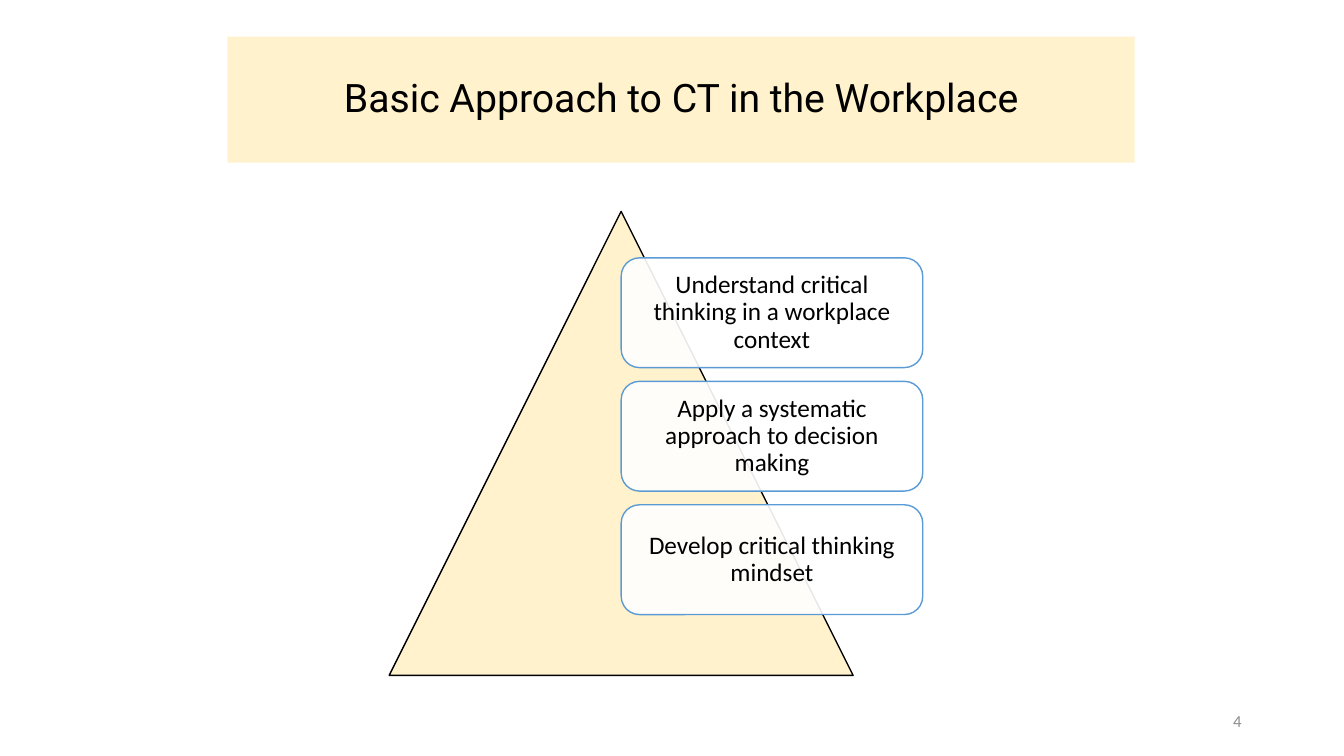
from lxml import etree
from pptx import Presentation
from pptx.dml.color import RGBColor
from pptx.enum.shapes import MSO_SHAPE
from pptx.enum.text import MSO_ANCHOR, PP_ALIGN
from pptx.oxml.ns import qn
from pptx.util import Pt

RECTANGLE = MSO_SHAPE.RECTANGLE
TRIANGLE = MSO_SHAPE.ISOSCELES_TRIANGLE
ROUNDED = MSO_SHAPE.ROUNDED_RECTANGLE
MIDDLE = MSO_ANCHOR.MIDDLE
CENTER, RIGHT = PP_ALIGN.CENTER, PP_ALIGN.RIGHT

BLACK = RGBColor(0x00, 0x00, 0x00)
WHITE = RGBColor(0xFF, 0xFF, 0xFF)
CREAM = RGBColor(0xFF, 0xF2, 0xCC)
BLUE = RGBColor(0x5B, 0x9B, 0xD5)
GREY = RGBColor(0x8C, 0x8C, 0x8C)

TITLE = "Basic Approach to CT in the Workplace"
STEPS = [
    "Understand critical thinking in a workplace context",
    "Apply a systematic approach to decision making",
    "Develop critical thinking mindset",
]
PAGE_NUMBER = "4"

TITLE_BOX = (162.5, 26.2, 648, 90)
PYRAMID_BOX = (278, 151, 331.4, 331.4)
NUMBER_BOX = (678, 500.5, 216, 28.8)
CARD_TOP, CARD_WIDTH, CARD_HEIGHT, CARD_GAP = 184.2, 215.4, 78.4, 9.8

TITLE_FORMAT = {"name": "Roboto", "size": Pt(28)}
STEP_FORMAT = {"name": "Calibri", "size": Pt(18)}
NUMBER_FORMAT = {"name": "Calibri", "size": Pt(12)}


def add_panel(slide, kind, box, fill, line=None):
    shape = slide.shapes.add_shape(kind, *map(Pt, box))
    shape.shadow.inherit = False
    shape.fill.solid()
    shape.fill.fore_color.rgb = fill
    if line is None:
        shape.line.fill.background()
    else:
        shape.line.color.rgb = line
        shape.line.width = Pt(1)
    return shape


def set_opacity(shape, percent):
    color = shape.fill._xPr.find(qn("a:solidFill"))[0]
    etree.SubElement(color, qn("a:alpha"), val=str(percent * 1000))


def write(shape, text, font_format, color=BLACK, align=CENTER, spacing=0.9, inset=None):
    frame = shape.text_frame
    frame.word_wrap = True
    frame.vertical_anchor = MIDDLE
    if inset is not None:
        for side in ("left", "top", "right", "bottom"):
            setattr(frame, f"margin_{side}", Pt(inset))
    paragraph = frame.paragraphs[0]
    paragraph.alignment = align
    paragraph.line_spacing = spacing
    run = paragraph.add_run()
    run.text = text
    for name, value in font_format.items():
        setattr(run.font, name, value)
    run.font.color.rgb = color


def main():
    presentation = Presentation()
    presentation.slide_width, presentation.slide_height = Pt(960), Pt(540)
    slide = presentation.slides.add_slide(presentation.slide_layouts[6])

    write(add_panel(slide, RECTANGLE, TITLE_BOX, CREAM), TITLE, TITLE_FORMAT)
    add_panel(slide, TRIANGLE, PYRAMID_BOX, CREAM, BLACK)

    card_left = PYRAMID_BOX[0] + PYRAMID_BOX[2] / 2
    for index, step in enumerate(STEPS):
        top = CARD_TOP + index * (CARD_HEIGHT + CARD_GAP)
        box = (card_left, top, CARD_WIDTH, CARD_HEIGHT)
        card = add_panel(slide, ROUNDED, box, WHITE, BLUE)
        set_opacity(card, 90)
        write(card, step, STEP_FORMAT, inset=5)

    number = slide.shapes.add_textbox(*map(Pt, NUMBER_BOX))
    write(number, PAGE_NUMBER, NUMBER_FORMAT, GREY, RIGHT, spacing=1.0)

    presentation.save("out.pptx")


if __name__ == "__main__":
    main()
